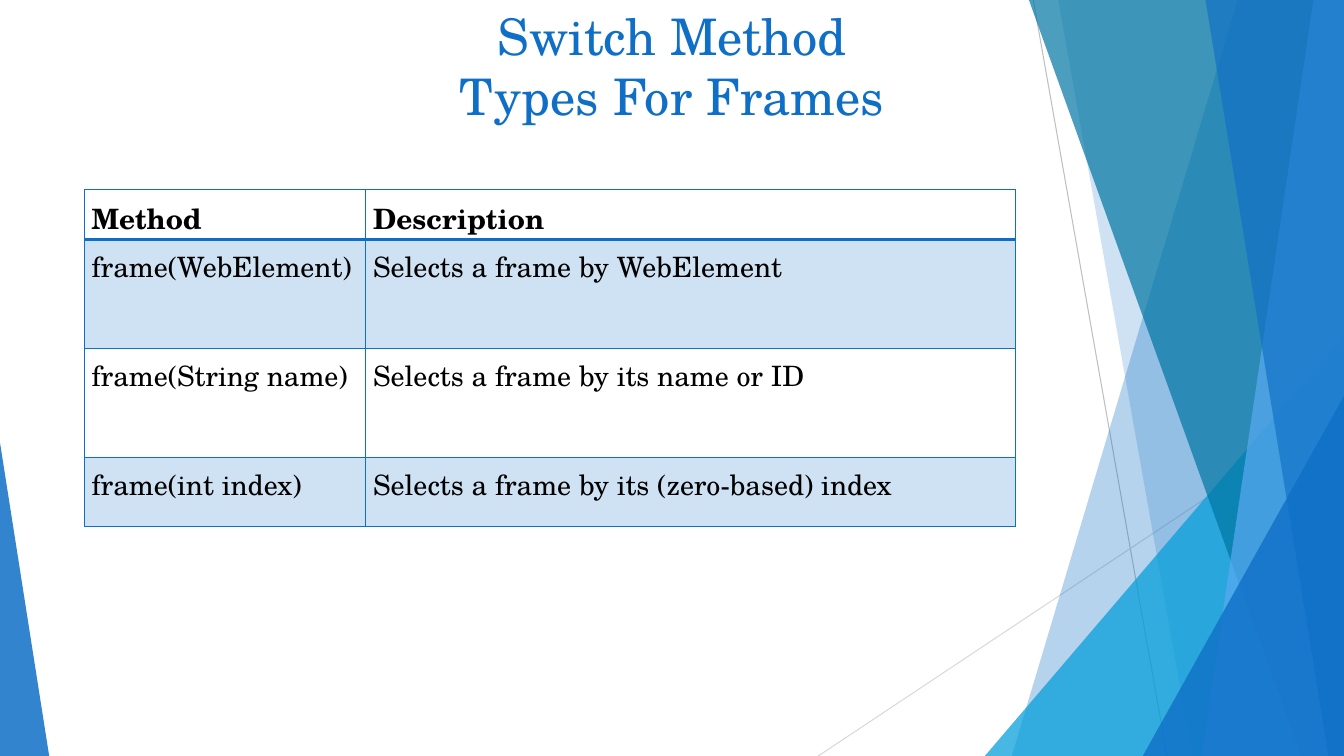
from dataclasses import dataclass

import lxml.etree
import pptx
import pptx.dml.color
import pptx.enum.shapes
import pptx.enum.text
import pptx.oxml.ns
import pptx.shapes.autoshape
import pptx.slide
import pptx.table
import pptx.util

Cm = pptx.util.Cm
Pt = pptx.util.Pt
RGBColor = pptx.dml.color.RGBColor
qn = pptx.oxml.ns.qn

SLIDE_WIDTH = 33.87
SLIDE_HEIGHT = 19.05


@dataclass(frozen=True)
class Theme:
    font: str = "TeX Gyre Schola"
    blue: str = "0F6FC6"
    cyan: str = "009DD9"
    teal: str = "0076A3"
    sky: str = "59AAF2"
    black: str = "000000"
    line_dark: str = "BFBFBF"
    line_light: str = "D9D9D9"
    title_size: int = 36
    table_size: int = 20


@dataclass(frozen=True)
class HairLine:
    start: tuple[float, float]
    end: tuple[float, float]
    color: str


@dataclass(frozen=True)
class Panel:
    """A full-height band from a slanted left edge to the right slide edge."""
    top_x: float
    bottom_x: float
    color: str
    opacity: int


@dataclass(frozen=True)
class Wedge:
    """A right triangle standing on the bottom slide edge."""
    left: float
    top: float
    width: float
    apex: float
    color: str
    opacity: int


THEME = Theme()

HAIR_LINES = [
    HairLine((26.04, 0), (29.41, SLIDE_HEIGHT), THEME.line_dark),
    HairLine((SLIDE_WIDTH, 10.24), (20.62, SLIDE_HEIGHT), THEME.line_light),
]

FACETS: list[Panel | Wedge] = [
    Panel(31.19, 25.5, THEME.blue, 30),
    Panel(26.67, 30.05, THEME.blue, 20),
    Wedge(24.82, 8.46, 9.05, 1, THEME.cyan, 72),
    Panel(25.93, 32.79, THEME.teal, 70),
    Panel(33.1, 30.28, THEME.sky, 70),
    Panel(30.38, 33.48, THEME.blue, 65),
    Wedge(28.8, 9.98, 5.07, 1, THEME.blue, 80),
    Wedge(0, 11.15, 1.24, 0, THEME.blue, 85),
]

COLUMN_WIDTHS = [7.09, 16.38]
ROW_HEIGHTS = [1.26, 2.74, 2.74, 1.75]
METHODS = [
    ("Method", "Description"),
    ("frame(WebElement)", "Selects a frame by WebElement"),
    ("frame(String name)", "Selects a frame by its name or ID"),
    ("frame(int index)", "Selects a frame by its (zero-based) index"),
]


def set_attributes(target: object, values: dict[str, object]) -> None:
    for name, value in values.items():
        setattr(target, name, value)


def fill_translucent(item: pptx.shapes.autoshape.Shape | pptx.table._Cell,
                     element: lxml.etree._Element, color: str, opacity: int) -> None:
    """Fill a shape or cell; element is the XML node that holds its fill."""
    item.fill.solid()
    item.fill.fore_color.rgb = RGBColor.from_string(color)
    color_node = element.find(qn("a:solidFill")).find(qn("a:srgbClr"))
    lxml.etree.SubElement(color_node, qn("a:alpha"), val=str(opacity * 1000))


def draw_hair_line(page: pptx.slide.Slide, line: HairLine) -> None:
    connector = page.shapes.add_connector(
        pptx.enum.shapes.MSO_CONNECTOR.STRAIGHT,
        *(Cm(value) for value in line.start + line.end))
    connector.line.color.rgb = RGBColor.from_string(line.color)
    connector.line.width = Pt(0.75)
    lxml.etree.SubElement(connector._element.spPr, qn("a:effectLst"))


def draw_facet(page: pptx.slide.Slide, facet: Panel | Wedge) -> None:
    if isinstance(facet, Panel):
        builder = page.shapes.build_freeform(Cm(facet.top_x), 0)
        builder.add_line_segments([
            (Cm(SLIDE_WIDTH), 0),
            (Cm(SLIDE_WIDTH), Cm(SLIDE_HEIGHT)),
            (Cm(facet.bottom_x), Cm(SLIDE_HEIGHT)),
        ])
        shape = builder.convert_to_shape()
    else:
        shape = page.shapes.add_shape(
            pptx.enum.shapes.MSO_SHAPE.ISOSCELES_TRIANGLE,
            Cm(facet.left), Cm(facet.top),
            Cm(facet.width), Cm(SLIDE_HEIGHT - facet.top))
        shape.adjustments[0] = facet.apex
    shape.shadow.inherit = False
    shape.line.fill.background()
    fill_translucent(shape, shape._element.spPr, facet.color, facet.opacity)


def draw_title(page: pptx.slide.Slide) -> None:
    box = page.shapes.add_textbox(0, 0, Cm(SLIDE_WIDTH), Cm(2.97))
    frame = box.text_frame
    frame.word_wrap = True
    frame.text = "Switch Method\vTypes For Frames"
    para = frame.paragraphs[0]
    para.alignment = pptx.enum.text.PP_ALIGN.CENTER
    set_attributes(para.font, {"name": THEME.font, "size": Pt(THEME.title_size)})
    para.font.color.rgb = RGBColor.from_string(THEME.blue)


def add_borders(cell: pptx.table._Cell, bottom_width: int) -> None:
    widths = {"lnL": 1, "lnR": 1, "lnT": 1, "lnB": bottom_width}
    for side, width in widths.items():
        border = lxml.etree.SubElement(
            cell._tc.get_or_add_tcPr(), qn(f"a:{side}"), w=str(Pt(width)))
        fill = lxml.etree.SubElement(border, qn("a:solidFill"))
        lxml.etree.SubElement(fill, qn("a:srgbClr"), val=THEME.blue)


def format_cell(cell: pptx.table._Cell, text: str, row: int) -> None:
    is_header = row == 0
    set_attributes(cell, {
        "text": text,
        "margin_left": Cm(0.18), "margin_right": Cm(0.18),
        "margin_top": 0, "margin_bottom": 0,
    })
    para = cell.text_frame.paragraphs[0]
    set_attributes(para, {"line_spacing": 1.15, "space_after": Pt(10)})
    set_attributes(para.font, {
        "name": THEME.font, "size": Pt(THEME.table_size), "bold": is_header})
    para.font.color.rgb = RGBColor.from_string(THEME.black)
    add_borders(cell, 2 if is_header else 1)
    if row % 2:
        fill_translucent(cell, cell._tc.tcPr, THEME.blue, 20)
    else:
        cell.fill.background()


def draw_methods_table(page: pptx.slide.Slide) -> None:
    table = page.shapes.add_table(
        len(METHODS), len(COLUMN_WIDTHS), Cm(2.13), Cm(4.78),
        Cm(sum(COLUMN_WIDTHS)), Cm(sum(ROW_HEIGHTS))).table
    set_attributes(table, {"first_row": False, "horz_banding": False})
    for column, width in zip(table.columns, COLUMN_WIDTHS):
        column.width = Cm(width)
    for row, (height, texts) in enumerate(zip(ROW_HEIGHTS, METHODS)):
        table.rows[row].height = Cm(height)
        for column, text in enumerate(texts):
            format_cell(table.cell(row, column), text, row)


def main() -> None:
    deck = pptx.Presentation()
    set_attributes(deck, {
        "slide_width": Cm(SLIDE_WIDTH), "slide_height": Cm(SLIDE_HEIGHT)})
    page = deck.slides.add_slide(deck.slide_layouts[6])
    for line in HAIR_LINES:
        draw_hair_line(page, line)
    for facet in FACETS:
        draw_facet(page, facet)
    draw_title(page)
    draw_methods_table(page)
    deck.save("out.pptx")


if __name__ == "__main__":
    main()
